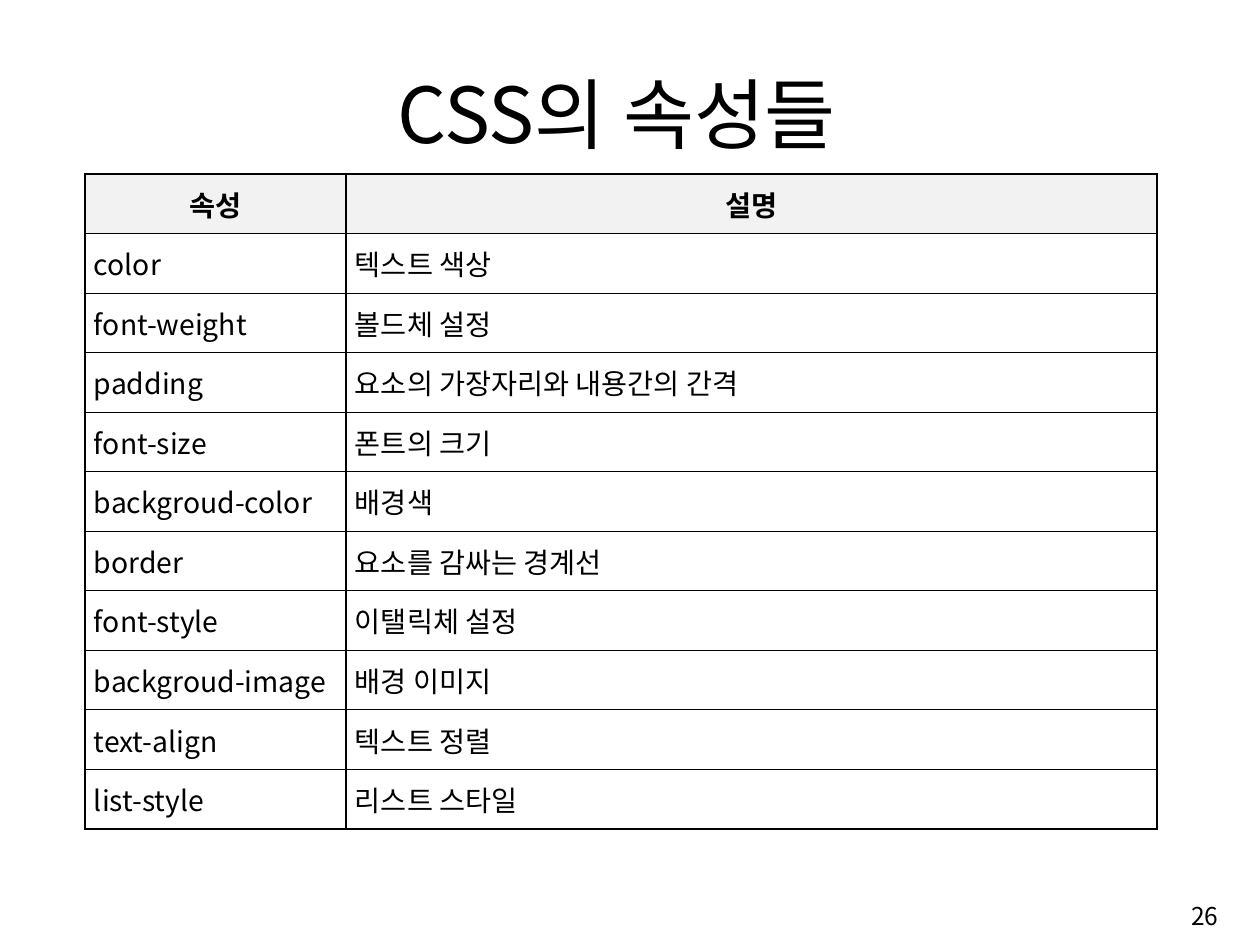
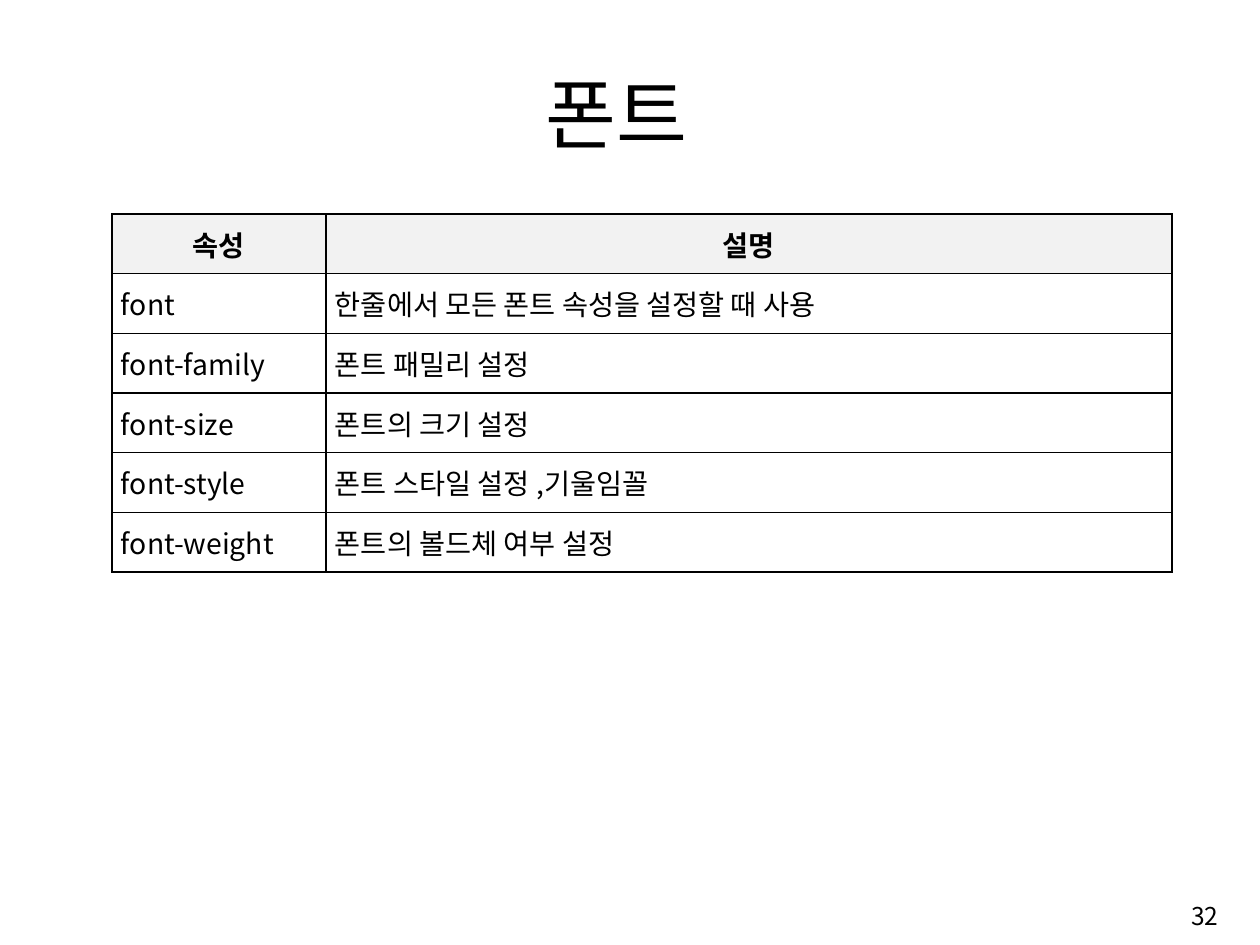
from dataclasses import dataclass

from lxml.etree import SubElement
from pptx import Presentation
from pptx.dml.color import RGBColor
from pptx.enum.text import MSO_ANCHOR, PP_ALIGN
from pptx.oxml.ns import qn
from pptx.slide import Slide
from pptx.table import _Cell
from pptx.text.text import TextFrame
from pptx.util import Emu, Pt

SCALE = 914400 // 97


@dataclass(frozen=True)
class Theme:
    font: str = "Noto Sans CJK KR"
    ink: str = "000000"
    head: str = "F2F2F2"
    title: float = 57.2
    body: float = 21
    folio: float = 18.2
    rule: float = 0.96


@dataclass(frozen=True)
class Box:
    left: int
    top: int
    width: int
    height: int


@dataclass(frozen=True)
class Page:
    title: str
    number: int
    area: Box
    split: int  # width of the first column
    rows: tuple[tuple[str, str], ...]


THEME = Theme()
TITLE = Box(102, 59, 1029, 105)
FOLIO = Box(968, 887, 260, 58)
HEADER = ("속성", "설명")

PAGES = (
    Page("CSS의 속성들", 26, Box(85, 174, 1072, 655), 261, (
        ("color", "텍스트 색상"),
        ("font-weight", "볼드체 설정"),
        ("padding", "요소의 가장자리와 내용간의 간격"),
        ("font-size", "폰트의 크기"),
        ("backgroud-color", "배경색"),
        ("border", "요소를 감싸는 경계선"),
        ("font-style", "이탤릭체 설정"),
        ("backgroud-image", "배경 이미지"),
        ("text-align", "텍스트 정렬"),
        ("list-style", "리스트 스타일"),
    )),
    Page("폰트", 32, Box(112, 214, 1060, 358), 214, (
        ("font", "한줄에서 모든 폰트 속성을 설정할 때 사용"),
        ("font-family", "폰트 패밀리 설정"),
        ("font-size", "폰트의 크기 설정"),
        ("font-style", "폰트 스타일 설정 ,기울임꼴"),
        ("font-weight", "폰트의 볼드체 여부 설정"),
    )),
)


def px(count: int) -> Emu:
    return Emu(count * SCALE)


def place(box: Box) -> tuple[Emu, Emu, Emu, Emu]:
    return px(box.left), px(box.top), px(box.width), px(box.height)


def write(frame: TextFrame, text: str, size: float, align: PP_ALIGN,
          bold: bool = False) -> None:
    frame.text = text
    line = frame.paragraphs[0]
    line.alignment = align
    for run in line.runs:
        font = run.font
        font.size = Pt(size)
        font.bold = bold
        font.color.rgb = RGBColor.from_string(THEME.ink)
        font.name = THEME.font
        # Korean glyphs take the East Asian typeface.
        SubElement(run._r.get_or_add_rPr(), qn("a:ea"), typeface=THEME.font)


def label(slide: Slide, box: Box, text: str, size: float,
          align: PP_ALIGN, anchor: MSO_ANCHOR) -> None:
    frame = slide.shapes.add_textbox(*place(box)).text_frame
    frame.word_wrap = True
    frame.vertical_anchor = anchor
    write(frame, text, size, align)


def border(cell: _Cell) -> None:
    """Rule all four sides; the lines must precede the fill in the XML."""
    props = cell._tc.get_or_add_tcPr()
    for index, side in enumerate(("lnL", "lnR", "lnT", "lnB")):
        line = SubElement(props, qn(f"a:{side}"), w=str(Pt(THEME.rule)))
        fill = SubElement(line, qn("a:solidFill"))
        SubElement(fill, qn("a:srgbClr"), val=THEME.ink)
        props.insert(index, line)


def style(cell: _Cell, text: str, head: bool) -> None:
    if head:
        cell.fill.solid()
        cell.fill.fore_color.rgb = RGBColor.from_string(THEME.head)
    else:
        cell.fill.background()
    border(cell)
    cell.vertical_anchor = MSO_ANCHOR.MIDDLE
    cell.margin_left = cell.margin_right = px(9)
    cell.margin_top = cell.margin_bottom = px(5)
    align = PP_ALIGN.CENTER if head else PP_ALIGN.JUSTIFY
    write(cell.text_frame, text, THEME.body, align, head)


def grid(slide: Slide, page: Page) -> None:
    rows = (HEADER, *page.rows)
    table = slide.shapes.add_table(
        len(rows), len(HEADER), *place(page.area)).table
    table.first_row = table.horz_banding = False
    table.columns[0].width = px(page.split)
    table.columns[1].width = px(page.area.width - page.split)
    for r, texts in enumerate(rows):
        table.rows[r].height = Emu(px(page.area.height) // len(rows))
        for c, text in enumerate(texts):
            style(table.cell(r, c), text, r == 0)


def main() -> None:
    deck = Presentation()
    deck.slide_width, deck.slide_height = px(1260), px(945)
    blank = deck.slide_layouts[6]
    for page in PAGES:
        slide = deck.slides.add_slide(blank)
        label(slide, TITLE, page.title, THEME.title,
              PP_ALIGN.CENTER, MSO_ANCHOR.BOTTOM)
        grid(slide, page)
        label(slide, FOLIO, str(page.number), THEME.folio,
              PP_ALIGN.RIGHT, MSO_ANCHOR.MIDDLE)
    deck.save("out.pptx")


if __name__ == "__main__":
    main()
